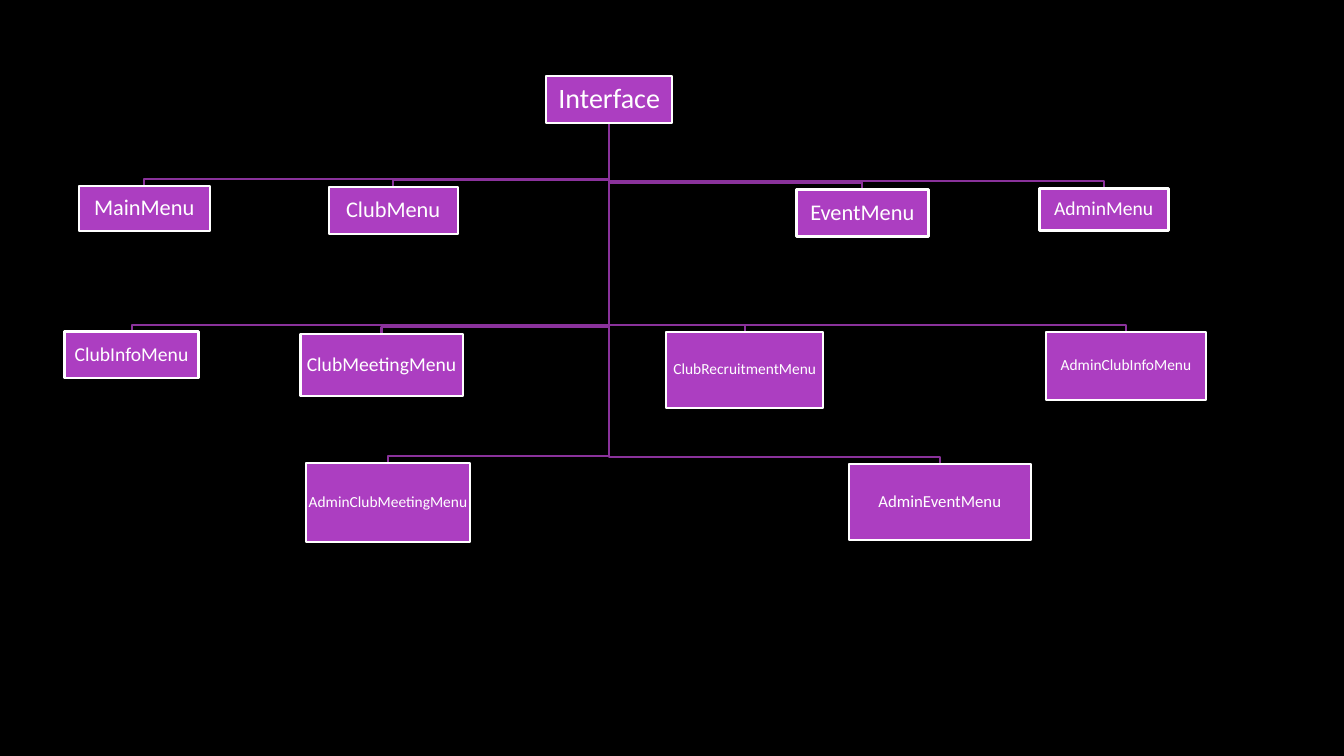
from pptx import Presentation
from pptx.dml.color import RGBColor
from pptx.enum.shapes import MSO_SHAPE
from pptx.enum.text import MSO_ANCHOR, PP_ALIGN
from pptx.util import Pt

BLACK = RGBColor(0x00, 0x00, 0x00)
WHITE = RGBColor(0xFF, 0xFF, 0xFF)
PURPLE = RGBColor(0xAC, 0x3E, 0xC1)
DARK_PURPLE = RGBColor(0x8A, 0x32, 0x9B)

BEND_GAP = 5  # height of the last drop into a menu box

# label, (left, top, width, height), font size, outline width
ROOT = ("Interface", (390.2, 54, 90, 33.8), 20, 1.5)
MENUS = [
    ("MainMenu", (56.2, 133.2, 93.6, 31.7), 16, 1.5),
    ("ClubMenu", (234.7, 133.9, 92.2, 33.1), 16, 1.5),
    ("EventMenu", (568.8, 135.4, 94.3, 33.8), 16, 2),
    ("AdminMenu", (742.3, 134.6, 92.2, 30.2), 14, 2),
    ("ClubInfoMenu", (46.1, 236.9, 95.8, 33.1), 14, 2),
    ("ClubMeetingMenu", (214.6, 238.3, 115.9, 44.6), 14, 1.5),
    ("ClubRecruitmentMenu", (475.9, 236.9, 112.3, 54.7), 11, 1.5),
    ("AdminEventMenu", (606.2, 331.2, 130.3, 54.7), 12, 1.5),
    ("AdminClubMeetingMenu", (218.9, 330.5, 116.6, 56.9), 11, 1.5),
    ("AdminClubInfoMenu", (747.4, 236.9, 113.8, 49), 11, 1.5),
]


def add_branch(slide, parent, child):
    """Draw the bent line from the bottom of parent to the top of child."""
    left, top, width, height = parent
    trunk_x, trunk_y = left + width / 2, top + height
    child_x, child_y = child[0] + child[2] / 2, child[1]
    bend_y = child_y - BEND_GAP
    builder = slide.shapes.build_freeform(Pt(trunk_x), Pt(trunk_y))
    corners = [(trunk_x, bend_y), (child_x, bend_y), (child_x, child_y)]
    builder.add_line_segments([(Pt(x), Pt(y)) for x, y in corners], close=False)
    sp = builder.convert_to_shape()
    sp.shadow.inherit = False
    sp.fill.background()
    sp.line.color.rgb = DARK_PURPLE
    sp.line.width = Pt(1.5)


def add_box(slide, label, box, size, outline):
    sp = slide.shapes.add_shape(MSO_SHAPE.RECTANGLE, *map(Pt, box))
    sp.shadow.inherit = False
    sp.fill.solid()
    sp.fill.fore_color.rgb = PURPLE
    sp.line.color.rgb = WHITE
    sp.line.width = Pt(outline)
    tf = sp.text_frame
    tf.word_wrap = False
    tf.vertical_anchor = MSO_ANCHOR.MIDDLE
    tf.margin_left = tf.margin_right = tf.margin_top = tf.margin_bottom = Pt(0.7)
    tf.text = label
    p = tf.paragraphs[0]
    p.alignment = PP_ALIGN.CENTER
    p.line_spacing = 0.9
    font = p.runs[0].font
    font.name = "Calibri"
    font.size = Pt(size)
    font.color.rgb = WHITE


def add_hierarchy(slide, root, menus):
    for _, box, _, _ in reversed(menus):
        add_branch(slide, root[1], box)
    for node in [root, *menus]:
        add_box(slide, *node)


def main():
    prs = Presentation()
    prs.slide_width, prs.slide_height = Pt(960), Pt(540)
    slide = prs.slides.add_slide(prs.slide_layouts[6])
    fill = slide.background.fill
    fill.solid()
    fill.fore_color.rgb = BLACK
    add_hierarchy(slide, ROOT, MENUS)
    prs.save("out.pptx")


if __name__ == "__main__":
    main()
